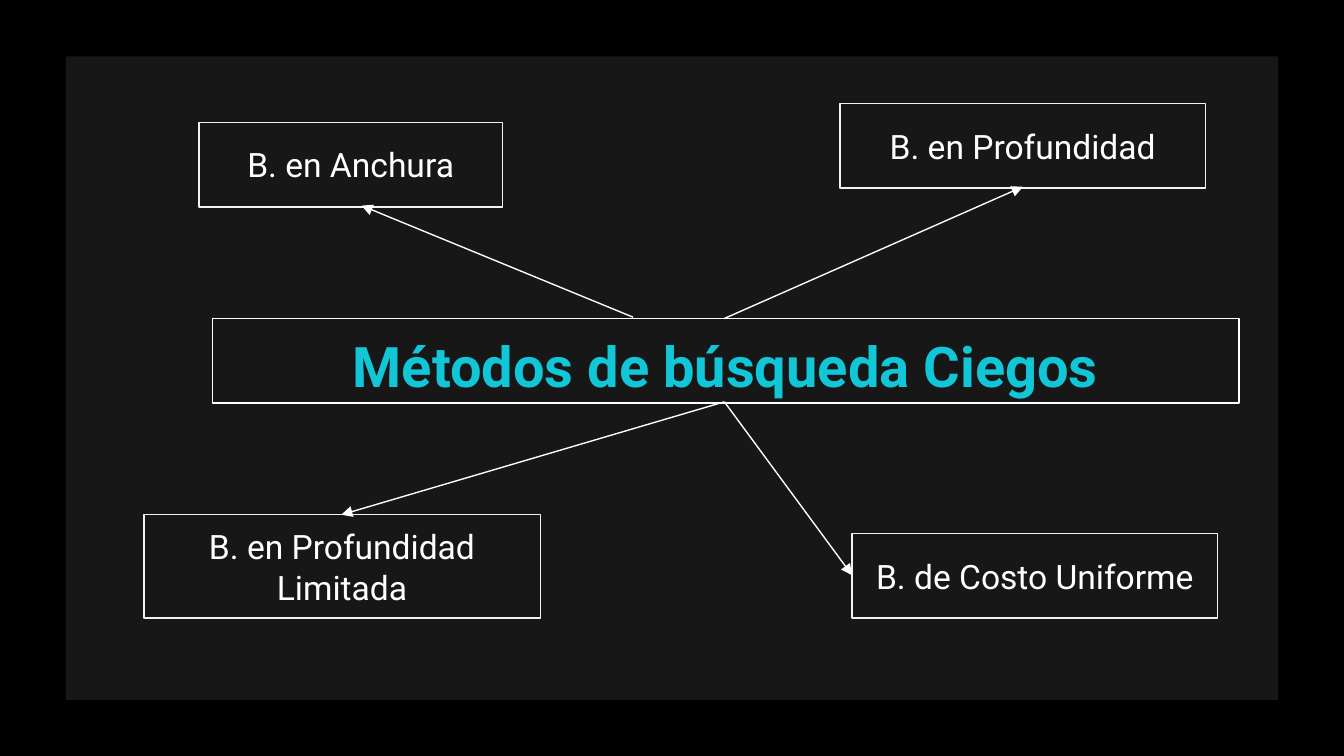
from lxml import etree
from pptx import Presentation
from pptx.dml.color import RGBColor
from pptx.enum.shapes import MSO_CONNECTOR, MSO_SHAPE
from pptx.enum.text import MSO_ANCHOR, PP_ALIGN
from pptx.oxml.ns import qn
from pptx.util import Inches, Pt

RECT, STRAIGHT = MSO_SHAPE.RECTANGLE, MSO_CONNECTOR.STRAIGHT
TOP, MIDDLE, CENTER = MSO_ANCHOR.TOP, MSO_ANCHOR.MIDDLE, PP_ALIGN.CENTER

WIDTH = 10
HEIGHT = WIDTH * 9 / 16
BLACK, PANEL, WHITE, BORDER, CYAN = "000000", "171717", "FFFFFF", "F2F2F2", "11C7D7"
PANEL_BOX = (0.49, 0.42, 9.02, 4.79)
LINE_WIDTH = 0.75

TITLE = ("Métodos de búsqueda Ciegos", (1.58, 2.37, 7.64, 0.63))
TITLE_FONT = {"size": Pt(30), "bold": True, "name": "Roboto"}
METHOD_FONT = {"size": Pt(18), "bold": False, "name": "Roboto"}

# text, box, arrow start, arrow end
METHODS = [
    ("B. en Anchura", (1.48, 0.91, 2.26, 0.63), (4.71, 2.36), (2.69, 1.53)),
    ("B. en Profundidad", (6.25, 0.77, 2.72, 0.63), (5.39, 2.37), (7.61, 1.39)),
    ("B. de Costo Uniforme", (6.34, 3.97, 2.72, 0.63), (5.39, 2.99), (6.34, 4.28)),
    ("B. en Profundidad Limitada", (1.07, 3.83, 2.95, 0.77), (5.39, 2.99), (2.54, 3.83)),
]


def rgb(value):
    return RGBColor.from_string(value)


def add_rect(slide, box):
    sp = slide.shapes.add_shape(RECT, *map(Inches, box))
    sp.shadow.inherit = False
    return sp


def add_label(slide, text, box, font, color, border, anchor):
    """Add an outlined, unfilled box with centred text."""
    sp = add_rect(slide, box)
    sp.fill.background()
    sp.line.color.rgb = rgb(border)
    sp.line.width = Pt(LINE_WIDTH)
    tf = sp.text_frame
    tf.word_wrap = True
    tf.vertical_anchor = anchor
    for side in ("left", "top", "right", "bottom"):
        setattr(tf, f"margin_{side}", Inches(0.1))
    p = tf.paragraphs[0]
    p.alignment = CENTER
    r = p.add_run()
    r.text = text
    r.font.color.rgb = rgb(color)
    for name, value in font.items():
        setattr(r.font, name, value)


def add_arrow(slide, start, end):
    cx = slide.shapes.add_connector(STRAIGHT, *map(Inches, start + end))
    cx.line.color.rgb = rgb(WHITE)
    cx.line.width = Pt(LINE_WIDTH)
    ln = cx._element.spPr.find(qn("a:ln"))
    etree.SubElement(ln, qn("a:tailEnd"), type="triangle")
    etree.SubElement(cx._element.spPr, qn("a:effectLst"))


def main():
    prs = Presentation()
    prs.slide_width, prs.slide_height = Inches(WIDTH), Inches(HEIGHT)
    slide = prs.slides.add_slide(prs.slide_layouts[6])
    slide.background.fill.solid()
    slide.background.fill.fore_color.rgb = rgb(BLACK)

    panel = add_rect(slide, PANEL_BOX)
    panel.fill.solid()
    panel.fill.fore_color.rgb = rgb(PANEL)
    panel.line.fill.background()

    add_label(slide, *TITLE, TITLE_FONT, CYAN, WHITE, TOP)
    for text, box, start, end in METHODS:
        add_label(slide, text, box, METHOD_FONT, WHITE, BORDER, MIDDLE)
        add_arrow(slide, start, end)
    prs.save("out.pptx")


if __name__ == "__main__":
    main()
